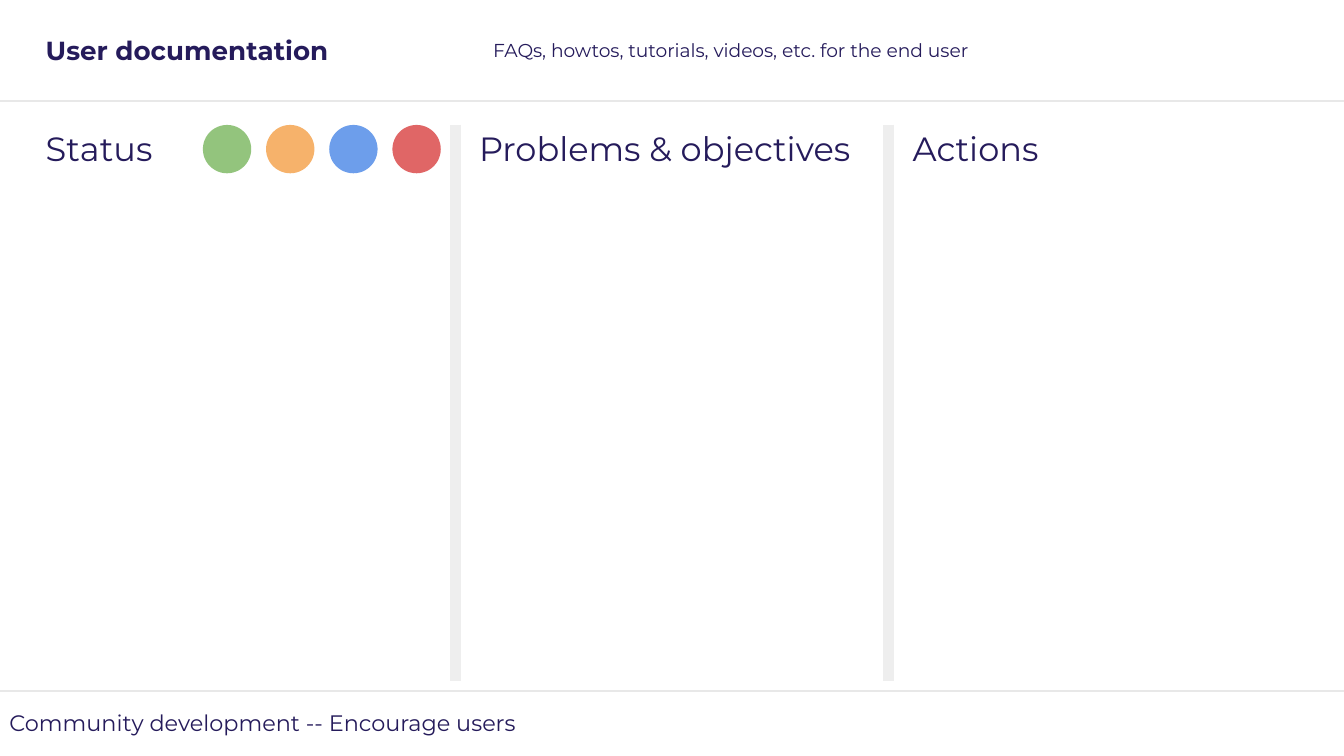
from lxml import etree
from pptx import Presentation
from pptx.dml.color import RGBColor
from pptx.enum.shapes import MSO_CONNECTOR, MSO_SHAPE
from pptx.enum.text import MSO_ANCHOR, PP_ALIGN
from pptx.oxml.ns import qn
from pptx.util import Inches, Pt

LINE, OVAL = MSO_CONNECTOR.STRAIGHT, MSO_SHAPE.OVAL
TOP, MID = MSO_ANCHOR.TOP, MSO_ANCHOR.MIDDLE
LEFT = PP_ALIGN.LEFT
FONT, INK, RULE, BAR = "Montserrat", "251B5B", "E8E8E8", "EEEEEE"
WIDE = 10
HIGH = WIDE * 9 / 16

TITLE = "User documentation"
SUMMARY = "FAQs, howtos, tutorials, videos, etc. for the end user"
FOOTER = "Community development -- Encourage users"
HEADS = ["Status", "Problems & objectives", "Actions"]
LIGHTS = ["93C47D", "F6B26B", "6D9EEB", "E06666"]

COL_X, COL_W, COL_END = 0.27, 3.02, 9.74
COL_STEP = (COL_END - COL_W - COL_X) / (len(HEADS) - 1)
BARS, BAR_TOP, BAR_END = (3.39, 6.61), 0.93, 5.07
DOT_X, DOT_SIZE, DOT_STEP = 1.51, 0.36, 0.47


def color(code):
    return RGBColor.from_string(code)


def write(shape, text, box, size, anchor=MID, bold=False):
    """Place a text shape and style its single paragraph."""
    shape.left, shape.top, shape.width, shape.height = map(Inches, box)
    frame = shape.text_frame
    frame.text = text
    frame.word_wrap = True
    frame.vertical_anchor = anchor
    frame.margin_left = frame.margin_right = Inches(0.07)
    frame.margin_top = frame.margin_bottom = Inches(0.07)
    para = frame.paragraphs[0]
    para.alignment = LEFT
    font = para.runs[0].font
    font.name, font.size, font.bold = FONT, Pt(size), bold
    font.color.rgb = color(INK)


def add_text(slide, text, box, size, anchor=MID):
    shape = slide.shapes.add_textbox(*map(Inches, box))
    write(shape, text, box, size, anchor)


def add_line(slide, ends, code, width):
    line = slide.shapes.add_connector(LINE, *map(Inches, ends))
    line.line.color.rgb = color(code)
    line.line.width = Pt(width)
    etree.SubElement(line._element.spPr, qn("a:effectLst"))


def add_dot(slide, x, code):
    box = (x, BAR_TOP, DOT_SIZE, DOT_SIZE)
    dot = slide.shapes.add_shape(OVAL, *map(Inches, box))
    dot.shadow.inherit = False
    dot.fill.solid()
    dot.fill.fore_color.rgb = color(code)
    dot.line.fill.background()


def main():
    deck = Presentation()
    deck.slide_width, deck.slide_height = Inches(WIDE), Inches(HIGH)
    slide = deck.slides.add_slide(deck.slide_layouts[5])

    for y in (0.75, 5.14):
        add_line(slide, (0, y, WIDE, y), RULE, 1)

    write(slide.shapes.title, TITLE, (COL_X, 0.1, 3.23, 0.55), 14, bold=True)
    add_text(slide, SUMMARY, (3.6, 0.1, 6.14, 0.55), 10)
    add_text(slide, FOOTER, (0, 5.13, 9.53, 0.5), 12)

    for i, head in enumerate(HEADS):
        x = COL_X + i * COL_STEP
        add_text(slide, head, (x, 0.88, COL_W, 4.25), 18, TOP)

    for x in BARS:
        add_line(slide, (x, BAR_TOP, x, BAR_END), BAR, 6)

    for i, code in enumerate(LIGHTS):
        add_dot(slide, DOT_X + i * DOT_STEP, code)

    deck.save("out.pptx")


if __name__ == "__main__":
    main()
